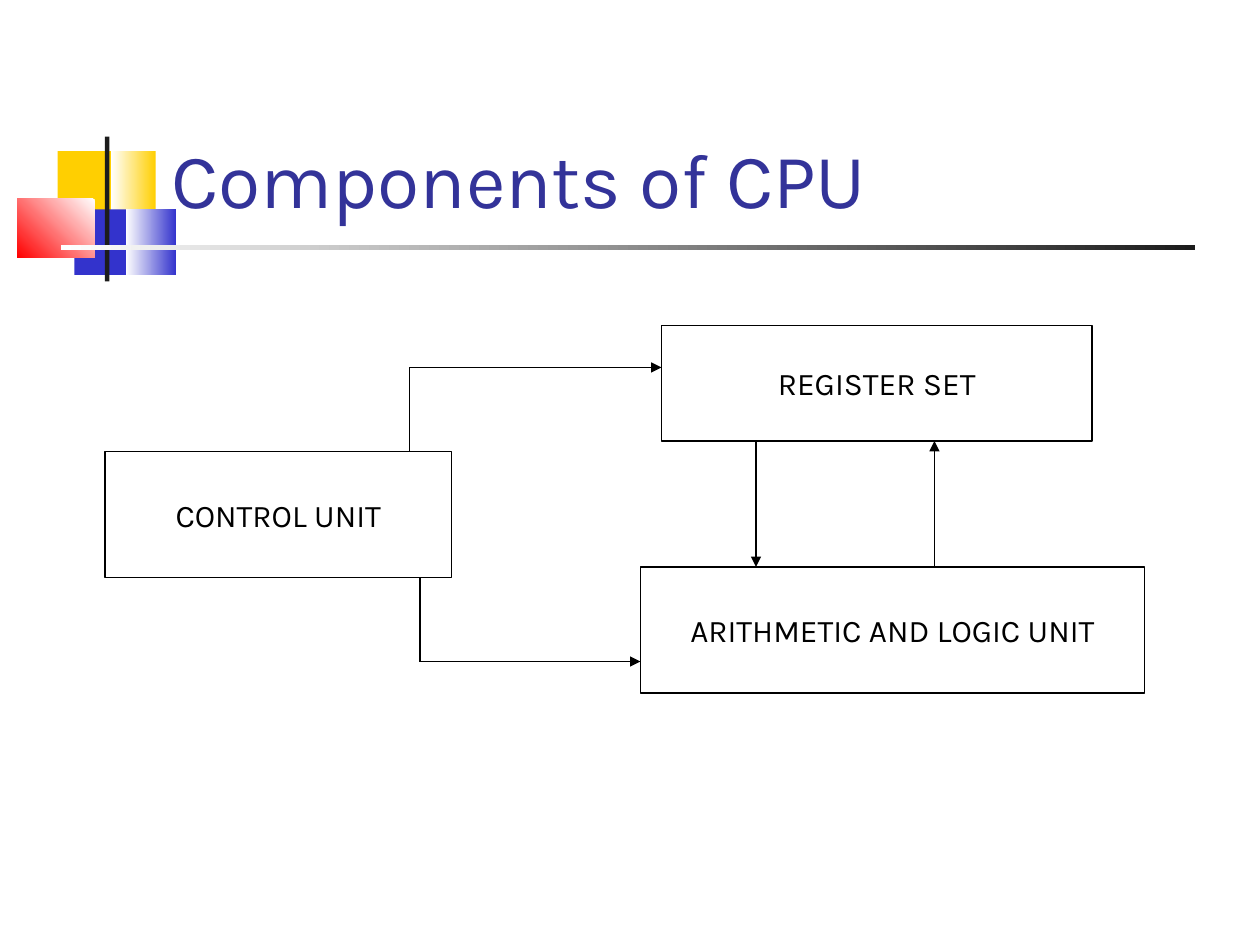
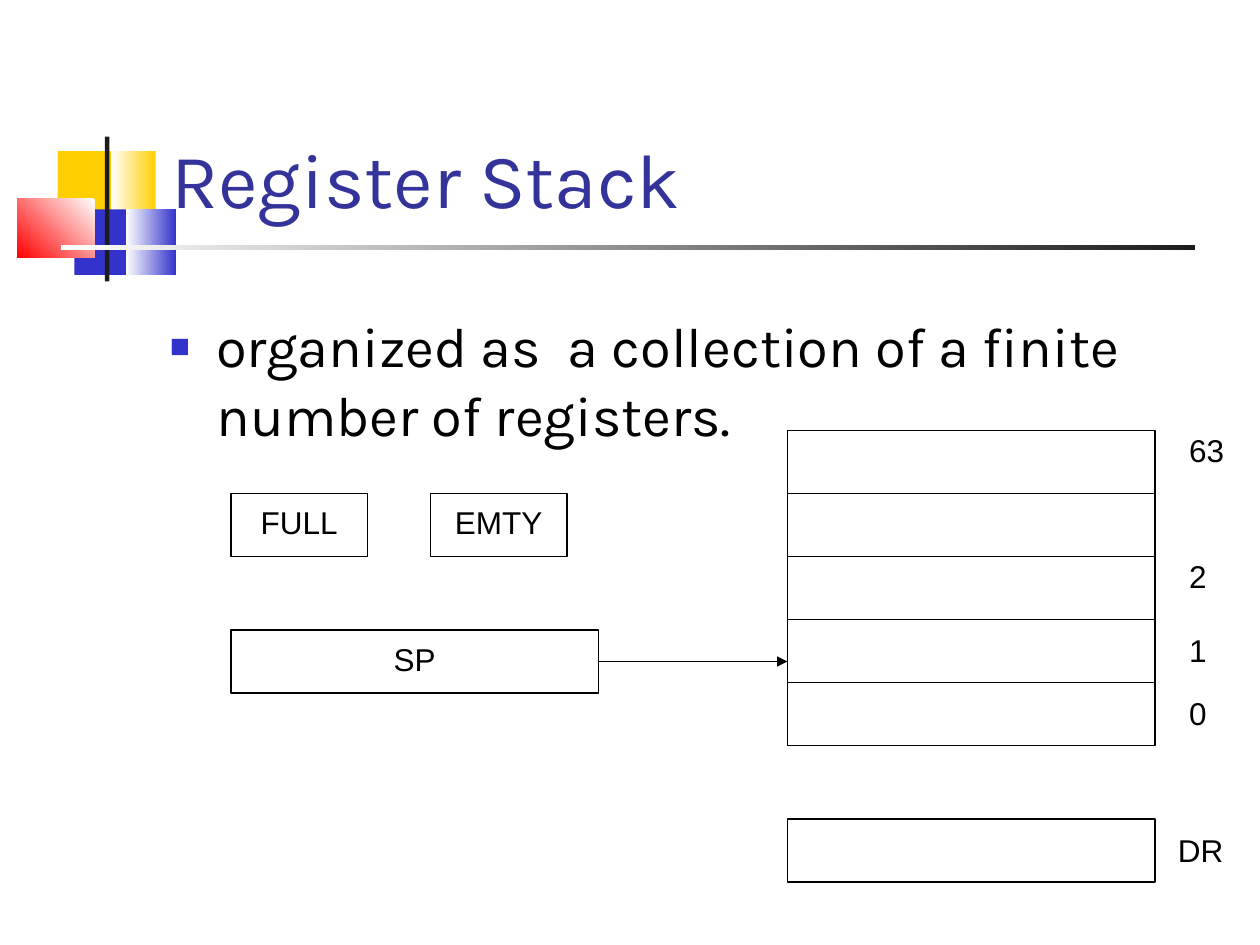
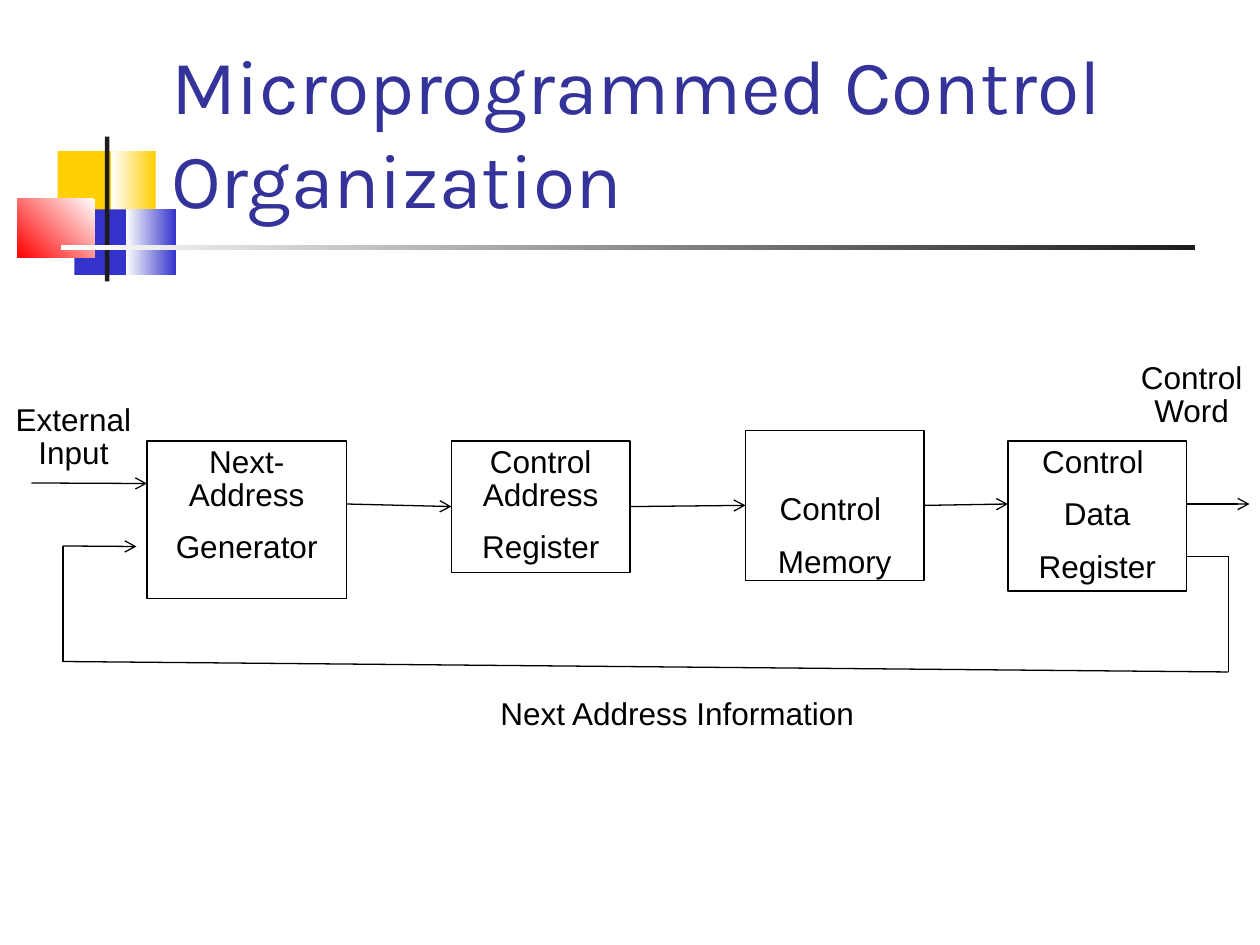
from lxml.etree import SubElement as Sub
from pptx import Presentation
from pptx.dml.color import RGBColor as Rgb
from pptx.enum.shapes import MSO_CONNECTOR as Link, MSO_SHAPE as Form
from pptx.enum.text import MSO_ANCHOR as Anchor, MSO_AUTO_SIZE as Fit, PP_ALIGN as Align
from pptx.oxml.ns import qn
from pptx.util import Pt

HUES = {
    "ink": "000000",
    "title": "333399",
    "gold": "FFCF01",
    "blue": "3333CC",
    "red": "FF0000",
    "dark": "1C1C1C",
    "white": "FFFFFF",
}
HEAD, BODY = "Karla", "Arial"
THIN = 0.75
TIGHT, LOOSE = 0.87, 1.02  # line spacing

# Corner ornament: box, start colour, end colour, clockwise angle
DECOR = [
    ((33, 86.4, 34.5, 37.4), "gold", None, 0),
    ((63.4, 86.4, 25.6, 37.4), "gold", "white", 180),
    ((42.5, 119.7, 33, 37.4), "blue", None, 0),
    ((72, 119.7, 28.6, 37.4), "blue", "white", 180),
    ((9.8, 113.7, 44.4, 33.7), "white", "red", 135),
    ((60, 78, 2.5, 82.8), "dark", None, 0),
    ((34.8, 140, 648, 2.7), "dark", "white", 180),
]


def hue(name):
    return Rgb.from_string(HUES[name])


def rect(slide, box):
    shape = slide.shapes.add_shape(Form.RECTANGLE, *map(Pt, box))
    shape.shadow.inherit = False
    shape.line.fill.background()
    return shape


def write(frame, lines, size=18, face=BODY, tint="ink", align=Align.CENTER,
          anchor=Anchor.TOP, pitch=TIGHT, gap=11.2):
    """Fill a text frame, one paragraph for each line."""
    frame.word_wrap = True
    frame.auto_size = Fit.NONE
    frame.vertical_anchor = anchor
    for i, line in enumerate(lines):
        para = frame.add_paragraph() if i else frame.paragraphs[0]
        para.alignment = align
        para.line_spacing = pitch
        para.space_before = Pt(gap if i else 0)
        run = para.add_run()
        run.text = line
        run.font.size = Pt(size)
        run.font.name = face
        run.font.color.rgb = hue(tint)


def cell(slide, box, lines=(), **style):
    """Outlined box with optional text."""
    shape = rect(slide, box)
    shape.fill.background()
    shape.line.color.rgb = hue("ink")
    shape.line.width = Pt(THIN)
    if lines:
        write(shape.text_frame, lines, **style)
    return shape


def label(slide, box, lines, **style):
    note = slide.shapes.add_textbox(*map(Pt, box))
    write(note.text_frame, lines, **style)
    return note


def trace(slide, x, y, points, head=None):
    """Join points by straight lines; the last may end in an arrowhead."""
    spots = [(Pt(x + px), Pt(y + py)) for px, py in points]
    for i, (start, end) in enumerate(zip(spots, spots[1:]), 2):
        wire = slide.shapes.add_connector(Link.STRAIGHT, *start, *end)
        wire.line.color.rgb = hue("ink")
        wire.line.width = Pt(THIN)
        props = wire._element.spPr
        if head and i == len(spots):
            Sub(props.get_or_add_ln(), qn("a:tailEnd"), type=head)
        Sub(props, qn("a:effectLst"))


def decor(slide):
    for box, first, last, angle in DECOR:
        fill = rect(slide, box).fill
        if not last:
            fill.solid()
            fill.fore_color.rgb = hue(first)
            continue
        fill.gradient()
        fill.gradient_angle = 360 - angle
        for stop, name, place in zip(fill.gradient_stops, (first, last), (0, 1)):
            stop.color.rgb = hue(name)
            stop.position = place


def start(deck, text, pitch=LOOSE):
    """New slide with the shared ornament and title."""
    slide = deck.slides.add_slide(deck.slide_layouts[5])
    decor(slide)
    title = slide.shapes.title
    title.left, title.top, title.width, title.height = map(Pt, (90.7, 16.6, 613.4, 115.2))
    write(title.text_frame, [text], 44, HEAD, "title", Align.LEFT, Anchor.BOTTOM, pitch)
    slide.shapes._spTree.append(title._element)  # bring to front
    return slide


def parts(slide, x, y):
    """CPU block diagram."""
    for left, top, wide, high, name in [
        (0, 72, 198, 72, "CONTROL UNIT"),
        (306, 138, 288, 72, "ARITHMETIC AND LOGIC UNIT"),
        (318, 0, 246, 66, "REGISTER SET"),
    ]:
        cell(slide, (x + left, y + top, wide, high), [name],
             face=HEAD, anchor=Anchor.MIDDLE, pitch=1)
    for points in [
        [(372, 66), (372, 138)],
        [(474, 138), (474, 66)],
        [(174, 72), (174, 24), (318, 24)],
        [(180, 144), (180, 192), (306, 192)],
    ]:
        trace(slide, x, y, points, "triangle")


def bullet(slide, box, text):
    note = label(slide, box, [text], size=32, face=HEAD, align=Align.LEFT, pitch=LOOSE)
    props = note.text_frame.paragraphs[0]._p.get_or_add_pPr()
    props.set("marL", str(Pt(26.6)))
    props.set("indent", str(-Pt(26.6)))
    Sub(Sub(props, qn("a:buClr")), qn("a:srgbClr"), val=HUES["blue"])
    Sub(props, qn("a:buSzPct"), val="60000")
    Sub(props, qn("a:buFont"), typeface=BODY)
    Sub(props, qn("a:buChar"), char="■")


def stack(slide, x, y):
    """Flags and pointer on the left, register stack on the right."""
    high, wide, col = 36, 210, 318
    for left, top, span, name in [
        (0, high, 78, "FULL"),
        (114, high, 78, "EMTY"),
        (0, 114, wide, "SP"),
    ]:
        cell(slide, (x + left, y + top, span, high), [name], anchor=Anchor.MIDDLE)

    # Registers, with labels lowered a little near the bottom
    for row, (name, drop) in enumerate([("63", 0), ("", 0), ("2", 0), ("1", 6), ("0", 6)]):
        top = y + row * high
        cell(slide, (x + col, top, wide, high))
        if name:
            label(slide, (x + 540.5, top + drop, 47.5, 26), [name], align=Align.LEFT)

    # Data register
    cell(slide, (x + col, y + 222, wide, high))
    label(slide, (x + 534, y + 228, 54, 26), ["DR"], align=Align.LEFT)
    trace(slide, x, y, [(wide, 132), (col, 132)], "triangle")


def micro(slide, x, y):
    """Control chain with its feedback loop."""
    for left, top, wide, high, lines, inset in [
        (84, 48, 114, 90, ["Next-Address", "Generator"], 3.6),
        (258, 48, 102, 75, ["Control Address", "Register"], 3.6),
        (426, 42, 102, 85.7, ["Control ", "Memory"], 36.6),
        (576, 48, 102, 85.7, ["Control ", "Data", "Register"], 3.6),
    ]:
        shape = cell(slide, (x + left, y + top, wide, high), lines)
        shape.text_frame.margin_top = Pt(inset)
    for left, top, wide, high, name in [
        (0, 24, 84, 45, "External Input"),
        (642, 0, 78, 45, "Control Word"),
        (270, 192, 234, 26, "Next Address Information"),
    ]:
        label(slide, (x + left, y + top, wide, high), [name])
    for points in [
        [(18, 72), (84, 72.3)],
        [(198, 84), (258, 85.5)],
        [(360, 85.5), (426, 84.8)],
        [(528, 84.8), (576, 84)],
        [(678, 84), (714, 84)],
        [(678, 114), (702, 114), (702, 180), (36, 174), (36, 108), (78, 108.3)],
    ]:
        trace(slide, x, y, points, "arrow")


def main():
    deck = Presentation()
    deck.slide_width, deck.slide_height = Pt(720), Pt(540)

    parts(start(deck, "Components of CPU", 1), 60, 186)

    slide = start(deck, "Register Stack")
    bullet(slide, (90, 174, 612, 324),
           "organized as  a collection of a finite number of registers.")
    stack(slide, 132, 246)

    micro(start(deck, "Microprogrammed Control Organization"), 0, 204)
    deck.save("out.pptx")


if __name__ == "__main__":
    main()
